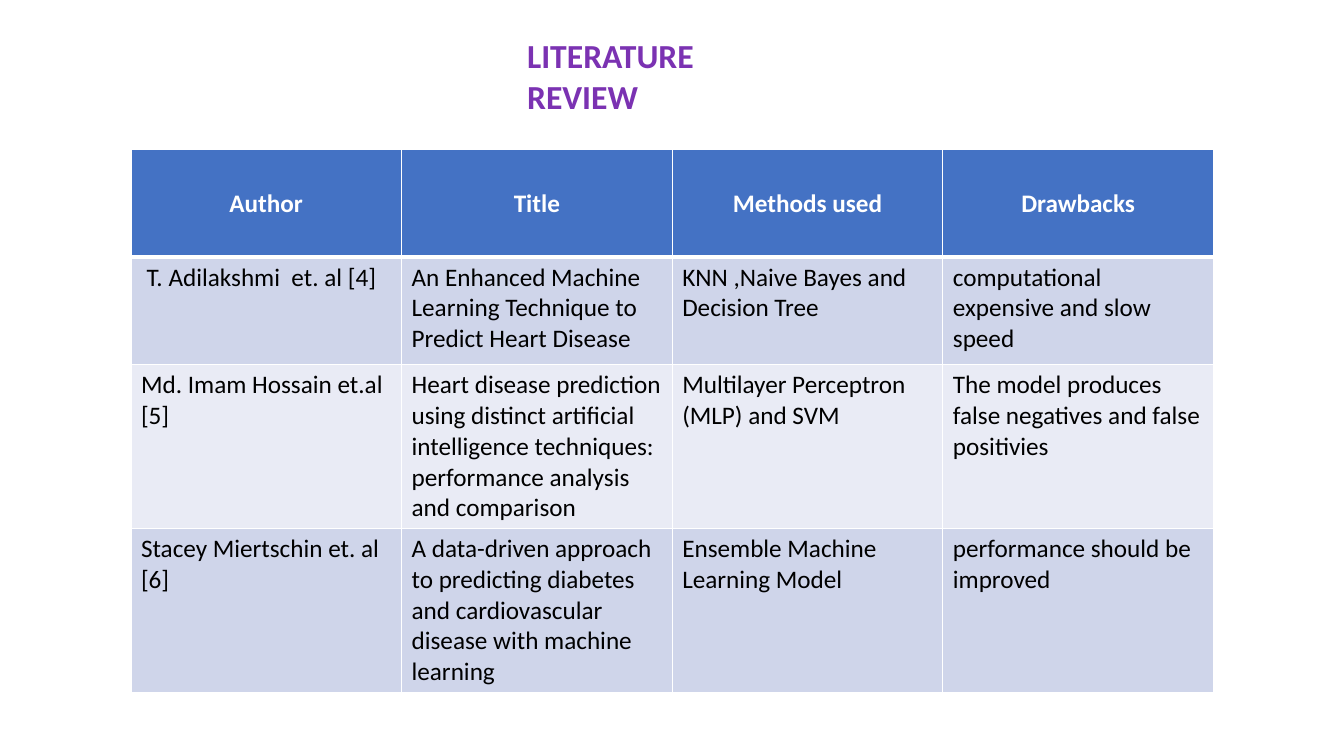
from dataclasses import dataclass

from lxml import etree
from pptx import Presentation
from pptx.dml.color import RGBColor
from pptx.enum.text import MSO_ANCHOR, PP_ALIGN
from pptx.oxml.ns import qn
from pptx.util import Cm, Pt

LEFT, CENTER = PP_ALIGN.LEFT, PP_ALIGN.CENTER
TOP, MIDDLE = MSO_ANCHOR.TOP, MSO_ANCHOR.MIDDLE
TITLE_ONLY = 5


@dataclass(frozen=True)
class Theme:
    font: str = "Calibri"
    title_size: int = 24
    table_size: int = 18
    title: str = "7B32B2"
    header_fill: str = "4472C4"
    header_text: str = "FFFFFF"
    body_text: str = "000000"
    bands: tuple = ("CFD5EA", "E9EBF5")
    border: str = "FFFFFF"


theme = Theme()


def style_text(text_frame, size, color, bold, alignment):
    for paragraph in text_frame.paragraphs:
        paragraph.alignment = alignment
        for run in paragraph.runs:
            run.font.name = theme.font
            run.font.size = Pt(size)
            run.font.bold = bold
            run.font.color.rgb = RGBColor.from_string(color)


def add_borders(cell, widths):
    """Draw the left, right, top and bottom borders, with widths in points."""
    properties = cell._tc.get_or_add_tcPr()
    for position, (side, width) in enumerate(zip("LRTB", widths)):
        line = etree.Element(qn(f"a:ln{side}"), w=str(Pt(width)))
        fill = etree.SubElement(line, qn("a:solidFill"))
        etree.SubElement(fill, qn("a:srgbClr"), val=theme.border)
        properties.insert(position, line)


presentation = Presentation()
presentation.slide_width = Cm(33.87)
presentation.slide_height = Cm(19.05)
slide = presentation.slides.add_slide(presentation.slide_layouts[TITLE_ONLY])

title = slide.shapes.title
title.left, title.top, title.width, title.height = Cm(13.03), Cm(0.76), Cm(7.49), Cm(1.28)
title.text_frame.text = "LITERATURE REVIEW"
title.text_frame.word_wrap = True
title.text_frame.vertical_anchor = TOP
title.text_frame.paragraphs[0].line_spacing = 1.0
style_text(title.text_frame, theme.title_size, theme.title, True, LEFT)

reviews = [
    ("Author", "Title", "Methods used", "Drawbacks"),
    (
        " T. Adilakshmi  et. al [4]",
        "An Enhanced Machine Learning Technique to Predict Heart Disease",
        "KNN ,Naive Bayes and\nDecision Tree",
        "computational expensive and slow speed",
    ),
    (
        "Md. Imam Hossain et.al [5]",
        "Heart disease prediction using distinct artificial intelligence techniques: "
        "performance analysis and comparison",
        "Multilayer Perceptron (MLP) and SVM",
        "The model produces false negatives and false positivies",
    ),
    (
        "Stacey Miertschin et. al [6]",
        "A data-driven approach to predicting diabetes and cardiovascular disease "
        "with machine learning",
        "Ensemble Machine Learning Model",
        "performance should be improved",
    ),
]

column_width, row_height = Cm(6.82), Cm(2.71)
review_table = slide.shapes.add_table(
    len(reviews), len(reviews[0]), Cm(3.3), Cm(3.77),
    column_width * len(reviews[0]), row_height * len(reviews),
).table

for row_index, review in enumerate(reviews):
    is_header = row_index == 0
    fill_color = theme.header_fill if is_header else theme.bands[(row_index - 1) % 2]
    text_color = theme.header_text if is_header else theme.body_text
    top_width = 3 if row_index == 1 else 1
    bottom_width = 3 if is_header else 1
    for column_index, text in enumerate(review):
        cell = review_table.cell(row_index, column_index)
        cell.text_frame.text = text
        cell.vertical_anchor = MIDDLE if is_header else TOP
        cell.fill.solid()
        cell.fill.fore_color.rgb = RGBColor.from_string(fill_color)
        add_borders(cell, (1, 1, top_width, bottom_width))
        style_text(cell.text_frame, theme.table_size, text_color, is_header,
                   CENTER if is_header else LEFT)

presentation.save("out.pptx")
